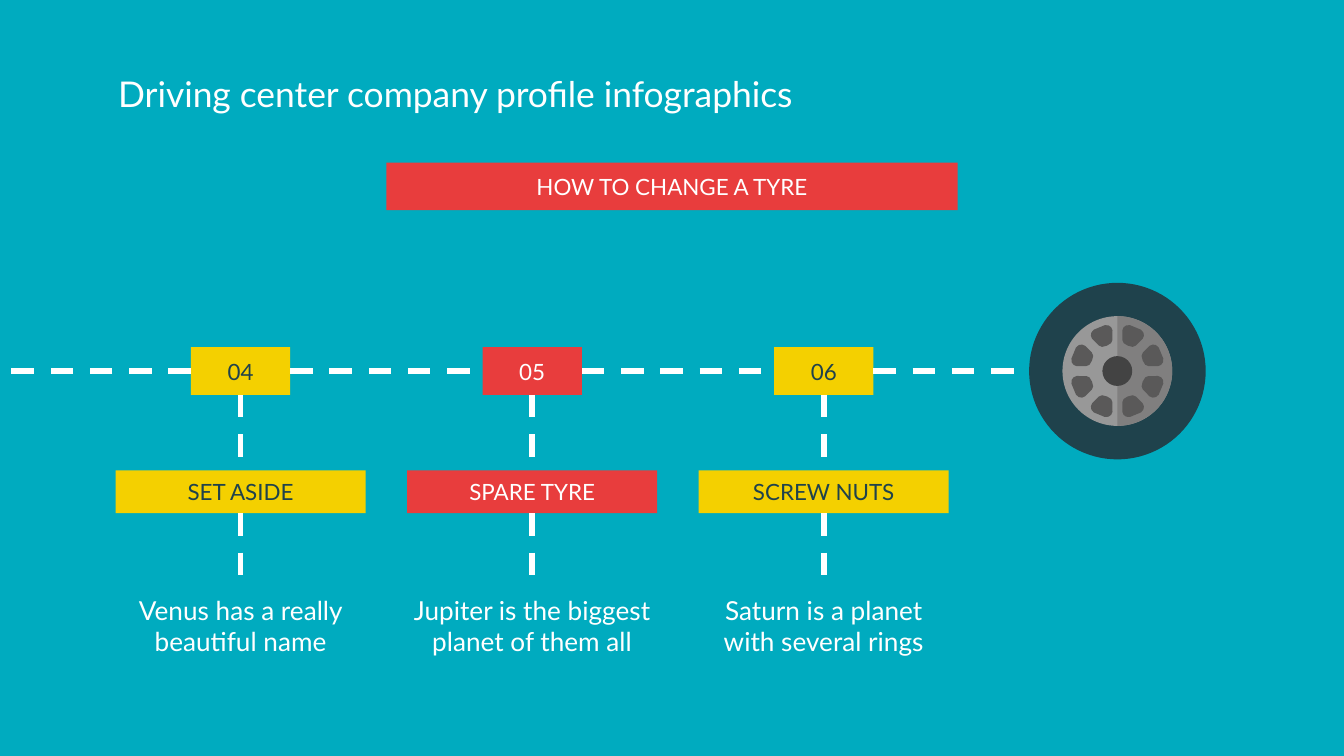
from dataclasses import dataclass
from math import cos, pi, sin

from lxml.etree import SubElement
from pptx import Presentation
from pptx.dml.color import RGBColor
from pptx.enum.dml import MSO_LINE
from pptx.enum.shapes import MSO_CONNECTOR as Connector, MSO_SHAPE as Shape
from pptx.enum.text import MSO_ANCHOR as Anchor, PP_ALIGN as Align
from pptx.oxml.ns import qn
from pptx.util import Pt

TITLE = "Driving center company profile infographics"
BANNER = "HOW TO CHANGE A TYRE"
STEPS = [
    ("04", "SET ASIDE", "Venus has a really beautiful name", "yellow", 146),
    ("05", "SPARE TYRE", "Jupiter is the biggest planet of them all", "red", 161),
    ("06", "SCREW NUTS", "Saturn is a planet with several rings", "yellow", 146),
]


@dataclass(frozen=True)
class Theme:
    font: str = "Lato"
    background: str = "00ABBF"
    white: str = "FFFFFF"
    red: str = "E83D3D"
    yellow: str = "F4D000"
    dark: str = "1F424C"
    rim: str = "989898"
    rim_shade: str = "807F7F"
    slot: str = "5A5959"
    hub: str = "434343"
    title_size: int = 19
    label_size: int = 12
    body_size: int = 14
    road_width: int = 3


theme = Theme()
FIRST_CENTER, STEP_PITCH = 128.9, 156.2
ROAD_Y = 198.8
BADGE_W, BADGE_H = 53.2, 25.6
LABEL_W, LABEL_H, LABEL_TOP = 134, 23, 252
NOTE_TOP, NOTE_H = 315.4, 39.6
WHEEL_X, TYRE_D, RIM_D, HUB_D = 598.6, 94.6, 58.8, 16
SLOT_COUNT = 8
SLOT_HALF = [(25.3, 0), (25.3, 3.2), (24.4, 5), (22.9, 5.9), (21.1, 5.9),
             (16.4, 3.9), (15.1, 2.6), (14.7, 0)]

deck = Presentation()
deck.slide_width, deck.slide_height = Pt(720), Pt(405)
slide = deck.slides.add_slide(deck.slide_layouts[6])
slide.background.fill.solid()
slide.background.fill.fore_color.rgb = RGBColor.from_string(theme.background)
shapes = slide.shapes


def paint(shape, color):
    shape.shadow.inherit = False
    shape.fill.solid()
    shape.fill.fore_color.rgb = RGBColor.from_string(color)
    shape.line.fill.background()
    return shape


def write(shape, text, size, color, align=Align.CENTER, anchor=Anchor.MIDDLE):
    frame = shape.text_frame
    frame.text = text
    frame.word_wrap = True
    frame.vertical_anchor = anchor
    frame.margin_left = frame.margin_right = Pt(7.2)
    frame.margin_top = frame.margin_bottom = Pt(7.2)
    paragraph = frame.paragraphs[0]
    paragraph.alignment = align
    font = paragraph.runs[0].font
    font.name, font.size = theme.font, Pt(size)
    font.color.rgb = RGBColor.from_string(color)
    return shape


def box(center, top, width, height, text, fill):
    shape = shapes.add_shape(Shape.RECTANGLE, Pt(center - width / 2), Pt(top),
                             Pt(width), Pt(height))
    ink = theme.dark if fill == theme.yellow else theme.white
    return write(paint(shape, fill), text, theme.label_size, ink)


def road(start, start_side, end=None, end_side=None, end_x=0):
    line = shapes.add_connector(Connector.STRAIGHT, Pt(end_x), Pt(ROAD_Y),
                                Pt(end_x), Pt(ROAD_Y))
    line.begin_connect(start, start_side)
    if end is not None:
        line.end_connect(end, end_side)
    line.line.color.rgb = RGBColor.from_string(theme.white)
    line.line.width = Pt(theme.road_width)
    line.line.dash_style = MSO_LINE.DASH
    SubElement(line._element.spPr, qn("a:effectLst"))


def disc(diameter, color):
    paint(shapes.add_shape(Shape.OVAL, Pt(WHEEL_X - diameter / 2),
                           Pt(ROAD_Y - diameter / 2), Pt(diameter), Pt(diameter)), color)


def outline(points, color):
    corners = [(Pt(WHEEL_X + x), Pt(ROAD_Y + y)) for x, y in points]
    builder = shapes.build_freeform(*corners[0])
    builder.add_line_segments(corners[1:])
    paint(builder.convert_to_shape(), color)


title = shapes.add_textbox(Pt(56.2), Pt(31.7), Pt(607.6), Pt(45.4))
write(title, TITLE, theme.title_size, theme.white, Align.LEFT, Anchor.TOP)
box(360, 87.2, 306, 25.4, BANNER, theme.red)

badges = []
for index, (number, label_text, note_text, hue, note_w) in enumerate(STEPS):
    center = FIRST_CENTER + index * STEP_PITCH
    fill = getattr(theme, hue)
    badge = box(center, ROAD_Y - BADGE_H / 2, BADGE_W, BADGE_H, number, fill)
    label = box(center, LABEL_TOP, LABEL_W, LABEL_H, label_text, fill)
    note = shapes.add_textbox(Pt(center - note_w / 2), Pt(NOTE_TOP), Pt(note_w), Pt(NOTE_H))
    write(note, note_text, theme.body_size, theme.white)
    road(badge, 2, label, 0)
    road(label, 2, note, 0)
    badges.append(badge)

road(badges[0], 1, end_x=1.5)
for badge, following in zip(badges, badges[1:]):
    road(badge, 3, following, 1)
road(badges[-1], 3, end_x=571.6)

disc(TYRE_D, theme.dark)
disc(RIM_D, theme.rim)
arc = [-pi / 2 + pi * step / 48 for step in range(49)]
outline([(RIM_D / 2 * cos(a), RIM_D / 2 * sin(a)) for a in arc], theme.rim_shade)
slot = SLOT_HALF + [(along, -across) for along, across in SLOT_HALF[-2:0:-1]]
for index in range(SLOT_COUNT):
    turn = 2 * pi * (index + 0.5) / SLOT_COUNT
    outline([(u * cos(turn) - v * sin(turn), u * sin(turn) + v * cos(turn))
             for u, v in slot], theme.slot)
disc(HUB_D, theme.hub)

deck.save("out.pptx")
